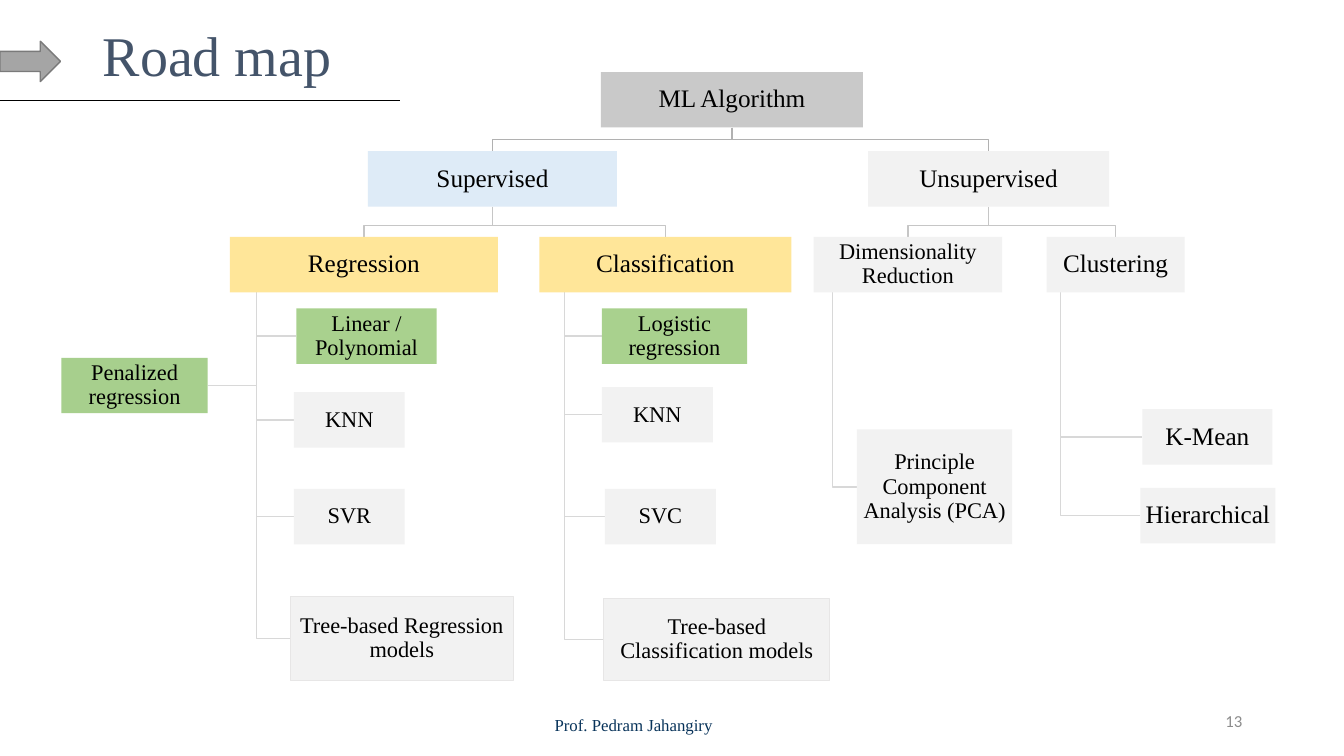
from dataclasses import dataclass

from lxml.etree import SubElement
from pptx import Presentation
from pptx.dml.color import RGBColor
from pptx.enum.shapes import MSO_CONNECTOR, MSO_SHAPE
from pptx.enum.text import MSO_ANCHOR, MSO_AUTO_SIZE, PP_ALIGN
from pptx.oxml.ns import qn
from pptx.util import Inches, Pt

COLORS = {
    "title": "44546A",
    "footer": "08335A",
    "number": "8C8C8C",
    "text": "000000",
    "arrow": "A5A5A5",
    "arrow edge": "7A7A7A",
    "root": "C9C9C9",
    "supervised": "DEEBF7",
    "family": "FFE699",
    "covered": "A9D18E",
    "penalized": "A7CF8D",
    "plain": "F2F2F2",
    "edge": "E7E6E6",
    "link 0": "B1B1B1",
    "link 1": "C6C6C6",
    "link 2": "D8D8D8",
}
GRID_COLUMNS = 133.3
GRID_ROWS = 75
BUS_GAP = 1.15
TRUNK_SHARE = 0.1


@dataclass
class Node:
    label: str
    left: float
    top: float
    width: float
    height: float = 5.5
    size: int = 18
    fill: str = "plain"
    edge: str = ""
    children: tuple = ()

    @property
    def right(self):
        return self.left + self.width

    @property
    def bottom(self):
        return self.top + self.height

    @property
    def center(self):
        return self.left + self.width / 2

    @property
    def middle(self):
        return self.top + self.height / 2


class RoadMapSlide:
    def __init__(self, deck, font="Times New Roman"):
        self.font = font
        self.column = deck.slide_width / GRID_COLUMNS
        self.row = deck.slide_height / GRID_ROWS
        self.page = deck.slides.add_slide(deck.slide_layouts[5])
        self.shapes = self.page.shapes

    def point(self, column, row):
        return round(column * self.column), round(row * self.row)

    def area(self, left, top, width, height):
        return self.point(left, top) + self.point(width, height)

    def color(self, name):
        return RGBColor.from_string(COLORS[name])

    def stroke(self, line, color, width):
        line.color.rgb = self.color(color)
        line.width = Pt(width)

    def label(self, box, text, size, color, align, anchor, font=None, spacing=None):
        frame = box.text_frame
        frame.text = text
        frame.word_wrap = True
        frame.auto_size = MSO_AUTO_SIZE.NONE
        frame.vertical_anchor = anchor
        para = frame.paragraphs[0]
        para.alignment = align
        para.line_spacing = spacing
        span = para.runs[0]
        span.font.size = Pt(size)
        span.font.name = font or self.font
        span.font.color.rgb = self.color(color)

    def title(self, text, *area):
        box = self.shapes.title
        box.left, box.top, box.width, box.height = self.area(*area)
        self.label(box, text, 40, "title", PP_ALIGN.LEFT, MSO_ANCHOR.BOTTOM, spacing=0.9)

    def note(self, text, area, color, align, anchor, font=None):
        box = self.shapes.add_textbox(*self.area(*area))
        self.label(box, text, 12, color, align, anchor, font)

    def shape(self, kind, area, fill, edge="", edge_width=0.75):
        shape = self.shapes.add_shape(kind, *self.area(*area))
        shape.shadow.inherit = False
        shape.fill.solid()
        shape.fill.fore_color.rgb = self.color(fill)
        if edge:
            self.stroke(shape.line, edge, edge_width)
        else:
            shape.line.fill.background()
        return shape

    def rule(self, start, end):
        line = self.shapes.add_connector(
            MSO_CONNECTOR.STRAIGHT, *self.point(*start), *self.point(*end)
        )
        self.stroke(line.line, "text", 0.5)
        SubElement(line._element.spPr, qn("a:effectLst"))

    def link(self, parent, child, level):
        if level < 2:
            bus = child.top - BUS_GAP
            route = [
                (parent.center, parent.bottom),
                (parent.center, bus),
                (child.center, bus),
                (child.center, child.top),
            ]
        else:
            trunk = parent.left + TRUNK_SHARE * parent.width
            end = child.left if child.left > trunk else child.right
            route = [(trunk, parent.bottom), (trunk, child.middle), (end, child.middle)]
        points = [self.point(*stop) for stop in route]
        builder = self.shapes.build_freeform(*points[0])
        builder.add_line_segments(points[1:], close=False)
        elbow = builder.convert_to_shape()
        elbow.shadow.inherit = False
        elbow.fill.background()
        self.stroke(elbow.line, f"link {level}", 1)

    def links(self, node, level=0):
        for child in node.children:
            self.links(child, level + 1)
            self.link(node, child, level)

    def boxes(self, node):
        area = (node.left, node.top, node.width, node.height)
        box = self.shape(MSO_SHAPE.RECTANGLE, area, node.fill, node.edge)
        frame = box.text_frame
        frame.margin_left = frame.margin_right = Inches(0.01)
        frame.margin_top = frame.margin_bottom = Inches(0.01)
        self.label(
            box, node.label, node.size, "text", PP_ALIGN.CENTER, MSO_ANCHOR.MIDDLE, spacing=0.9
        )
        for child in node.children:
            self.boxes(child)


REGRESSION = Node("Regression", 22.8, 23.5, 26.6, fill="family", children=(
    Node("Linear / Polynomial", 29.4, 30.6, 13.9, size=16, fill="covered"),
    Node("Penalized regression", 6.1, 35.5, 14.5, size=16, fill="penalized"),
    Node("KNN", 29.15, 38.9, 11, size=16),
    Node("SVR", 29.15, 48.5, 11, size=16),
    Node("Tree-based Regression models", 28.8, 59.2, 22.1, 8.3, 16, edge="edge"),
))
CLASSIFICATION = Node("Classification", 53.5, 23.5, 25, fill="family", children=(
    Node("Logistic regression", 59.7, 30.6, 14.4, size=16, fill="covered"),
    Node("KNN", 59.7, 38.4, 11, size=16),
    Node("SVC", 60, 48.5, 11, size=16),
    Node("Tree-based Classification models", 59.9, 59.4, 22.4, 8.1, 16, edge="edge"),
))
REDUCTION = Node("Dimensionality Reduction", 80.7, 23.5, 18.7, size=16, children=(
    Node("Principle Component Analysis (PCA)", 85, 42.6, 15.4, 11.4, 16),
))
CLUSTERING = Node("Clustering", 103.8, 23.5, 13.7, children=(
    Node("K-Mean", 113.3, 40.6, 12.9),
    Node("Hierarchical", 113.1, 48.4, 13.4),
))
ROAD_MAP = Node("ML Algorithm", 59.6, 7.15, 26, fill="root", children=(
    Node("Supervised", 36.5, 15, 24.7, fill="supervised",
         children=(REGRESSION, CLASSIFICATION)),
    Node("Unsupervised", 86.1, 15, 23.9, children=(REDUCTION, CLUSTERING)),
))


def main():
    deck = Presentation()
    deck.slide_width, deck.slide_height = Inches(13.33), Inches(7.5)
    slide = RoadMapSlide(deck)
    slide.title("Road map", 9.2, 1.1, 83.5, 8.2)
    slide.shape(MSO_SHAPE.RIGHT_ARROW, (0, 4.1, 6, 4), "arrow", "arrow edge", 1)
    slide.rule((0, 10), (39.7, 10))
    slide.links(ROAD_MAP)
    slide.boxes(ROAD_MAP)
    slide.note("Prof. Pedram Jahangiry", (36.2, 70.4, 53.3, 4), "footer",
               PP_ALIGN.CENTER, MSO_ANCHOR.TOP)
    slide.note("13", (94.2, 69.5, 30, 4), "number",
               PP_ALIGN.RIGHT, MSO_ANCHOR.MIDDLE, "Calibri")
    deck.save("out.pptx")


if __name__ == "__main__":
    main()
